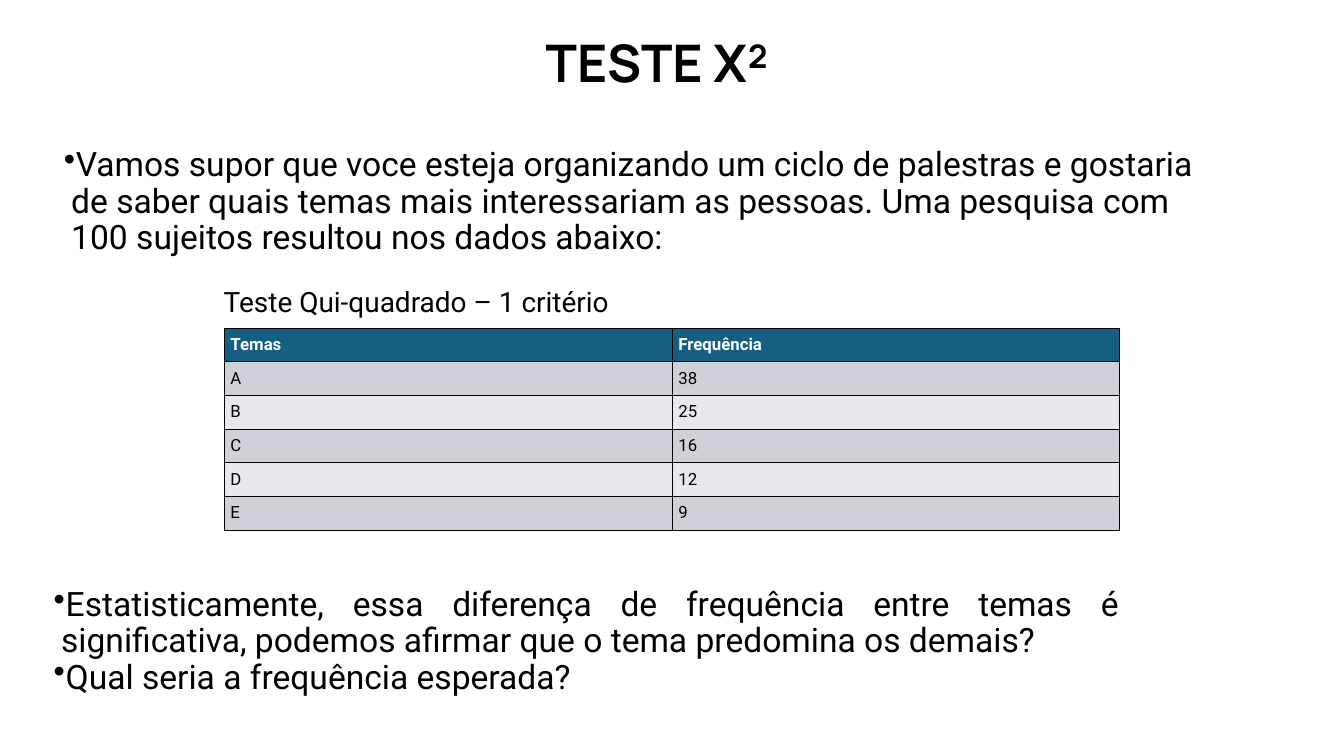
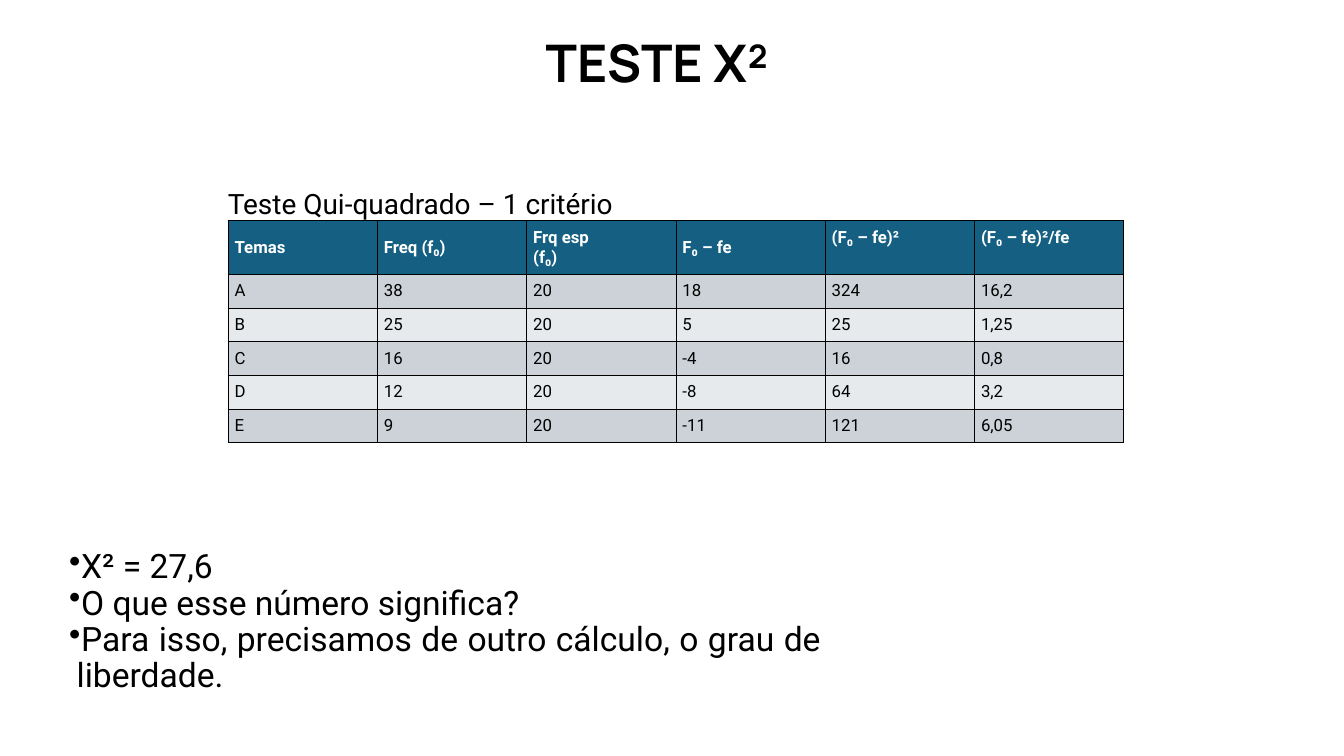
import lxml.etree
import pptx
import pptx.dml.color
import pptx.enum.text
import pptx.oxml
import pptx.oxml.ns
import pptx.util

Inches, Pt = pptx.util.Inches, pptx.util.Pt
RGB = pptx.dml.color.RGBColor.from_string
ALIGN = pptx.enum.text.PP_ALIGN
ANCHOR = pptx.enum.text.MSO_ANCHOR
qn = pptx.oxml.ns.qn

# Theme: text styles are (font, size, line spacing, bold)
THEME = {
    "title": ("Manrope", 55.5, 59.9, True),
    "body": ("Roboto", 36, 38.9, False),
    "caption": ("Roboto", 30, 32.4, False),
    "header": ("Roboto", 18, 21.6, True),
    "cell": ("Roboto", 18, 21.6, False),
    "ink": "000000",
    "header_ink": "FFFFFF",
    "header_fill": "156082",
    "bands": ("CCD2D8", "E7EAED"),
    "border": 0.37,
}


def write(frame, lines, style, align=ALIGN.LEFT, color=THEME["ink"], bulleted=False):
    """Fill a text frame with one paragraph per line."""
    font_name, size, spacing, bold = THEME[style]
    frame.word_wrap = True
    frame.vertical_anchor = ANCHOR.MIDDLE
    for index, line in enumerate(lines):
        paragraph = frame.add_paragraph() if index else frame.paragraphs[0]
        paragraph.text = line
        paragraph.alignment = align
        paragraph.line_spacing = Pt(spacing)
        if bulleted:
            paragraph.level = 1
            properties = paragraph._p.get_or_add_pPr()
            properties.set("marL", str(Inches(0.23)))
            properties.set("indent", str(Inches(-0.11)))
            lxml.etree.SubElement(properties, qn("a:buChar")).set("char", "•")
        paragraph.font.name = font_name
        paragraph.font.size = Pt(size)
        paragraph.font.bold = bold
        paragraph.font.color.rgb = RGB(color)


def add_text(slide, box, lines, style, **options):
    """Add a text box without margins."""
    frame = slide.shapes.add_textbox(*map(Inches, box)).text_frame
    frame.margin_left = frame.margin_right = frame.margin_top = frame.margin_bottom = 0
    write(frame, lines, style, **options)


# Survey data and the chi-square steps that follow from it
observed = {"A": 38, "B": 25, "C": 16, "D": 12, "E": 9}
expected = sum(observed.values()) // len(observed)
survey_rows = [("Temas", "Frequência"), *observed.items()]
chi_square_rows = [("Temas", "Freq (f₀)", "Frq esp\n(f₀)", "F₀ – fe", "(F₀ – fe)²", "(F₀ – fe)²/fe")]
for theme, count in observed.items():
    gap = count - expected
    share = f"{gap ** 2 / expected:g}".replace(".", ",")
    chi_square_rows.append((theme, count, expected, gap, gap ** 2, share))

pages = [
    {
        "intro": ["Vamos supor que voce esteja organizando um ciclo de palestras e gostaria "
                  "de saber quais temas mais interessariam as pessoas. Uma pesquisa com "
                  "100 sujeitos resultou nos dados abaixo:"],
        "rows": survey_rows,
        "table_at": (3.33, 4.88),
        "caption_top": 3.97,
        "top_headers": (),
        "questions": ["Estatisticamente, essa diferença de frequência entre temas é "
                      "significativa, podemos afirmar que o tema predomina os demais?",
                      "Qual seria a frequência esperada?"],
        "questions_box": (0.68, 8.61, 15.98, 1.87),
    },
    {
        "intro": [],
        "rows": chi_square_rows,
        "table_at": (3.39, 3.28),
        "caption_top": 2.51,
        "top_headers": (4, 5),
        "questions": ["Χ² = 27,6",
                      "O que esse número significa?",
                      "Para isso, precisamos de outro cálculo, o grau de liberdade."],
        "questions_box": (0.91, 8, 11.31, 2.51),
    },
]

deck = pptx.Presentation()
deck.slide_width, deck.slide_height = Inches(20), Inches(11.25)

for page in pages:
    slide = deck.slides.add_slide(deck.slide_layouts[6])

    # Title and closing bullets
    add_text(slide, (8.12, 0.36, 3.65, 1.2), ["TESTE X²"], "title")
    add_text(slide, page["questions_box"], page["questions"], "body",
             align=ALIGN.JUSTIFY, bulleted=True)

    # Frequency table
    rows = page["rows"]
    left, top = page["table_at"]
    frequencies = slide.shapes.add_table(
        len(rows), len(rows[0]), Inches(left), Inches(top), Inches(13.33), Inches(2.42)).table
    for row_index, row in enumerate(rows):
        is_header = row_index == 0
        for column_index, value in enumerate(row):
            cell = frequencies.cell(row_index, column_index)
            cell.margin_left = cell.margin_right = Inches(0.1)
            cell.margin_top = cell.margin_bottom = Inches(0.1)
            write(cell.text_frame, str(value).split("\n"),
                  "header" if is_header else "cell",
                  color=THEME["header_ink"] if is_header else THEME["ink"])
            at_top = is_header and column_index in page["top_headers"]
            cell.vertical_anchor = ANCHOR.TOP if at_top else ANCHOR.MIDDLE
            for side in "LRTB":
                cell._tc.get_or_add_tcPr().append(pptx.oxml.parse_xml(
                    f'<a:ln{side} xmlns:a="{pptx.oxml.ns.nsdecls("a").split(chr(34))[1]}" '
                    f'w="{Pt(THEME["border"])}"><a:solidFill><a:srgbClr val="{THEME["ink"]}"/>'
                    f'</a:solidFill></a:ln{side}>'))
            cell.fill.solid()
            band = THEME["bands"][(row_index - 1) % 2]
            cell.fill.fore_color.rgb = RGB(THEME["header_fill"] if is_header else band)

    # Table caption and introduction
    add_text(slide, (left, page["caption_top"], 13.97, 1.07),
             ["Teste Qui-quadrado – 1 critério"], "caption", align=ALIGN.JUSTIFY)
    if page["intro"]:
        add_text(slide, (0.83, 2.15, 17.25, 1.7), page["intro"], "body", bulleted=True)

deck.save("out.pptx")
